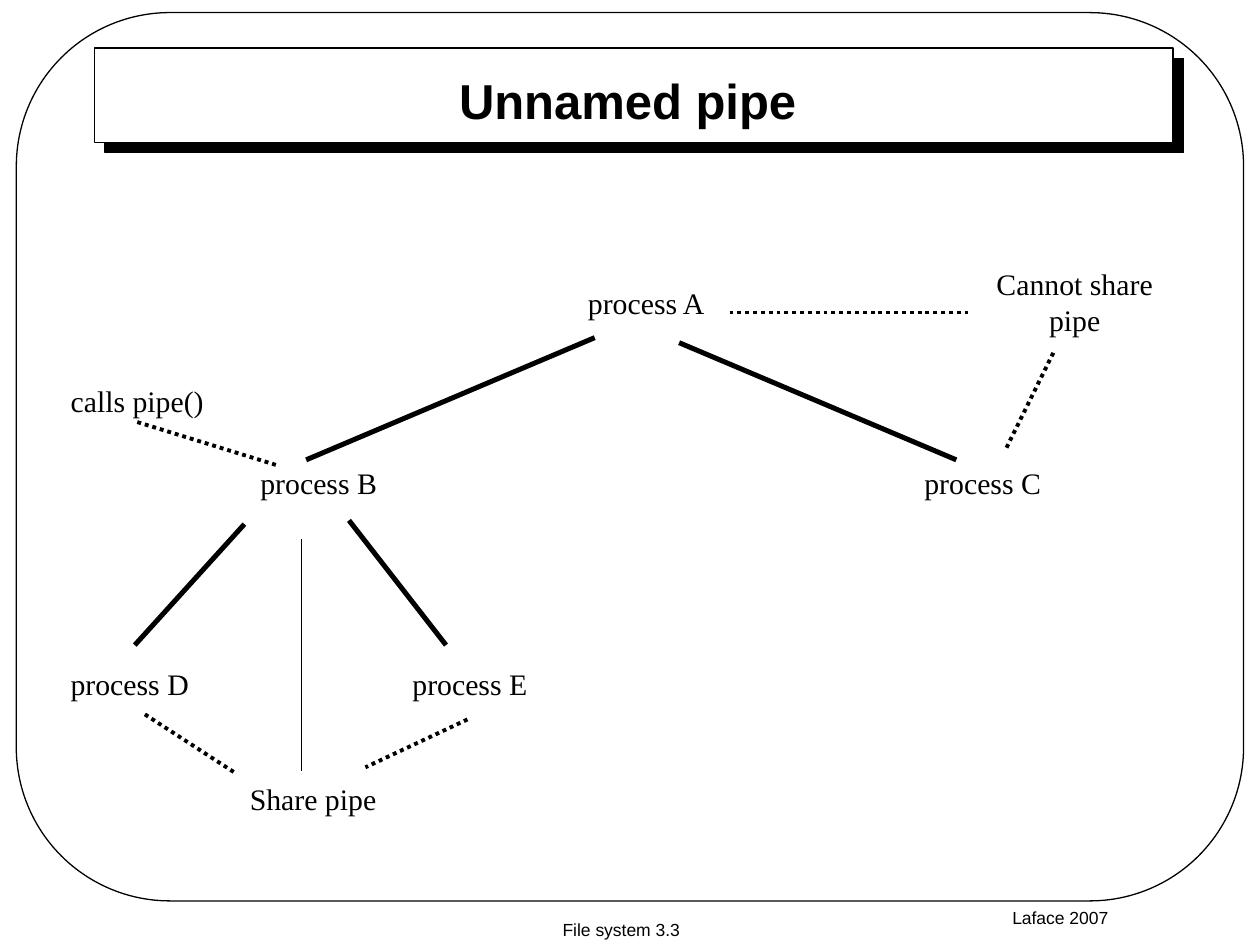
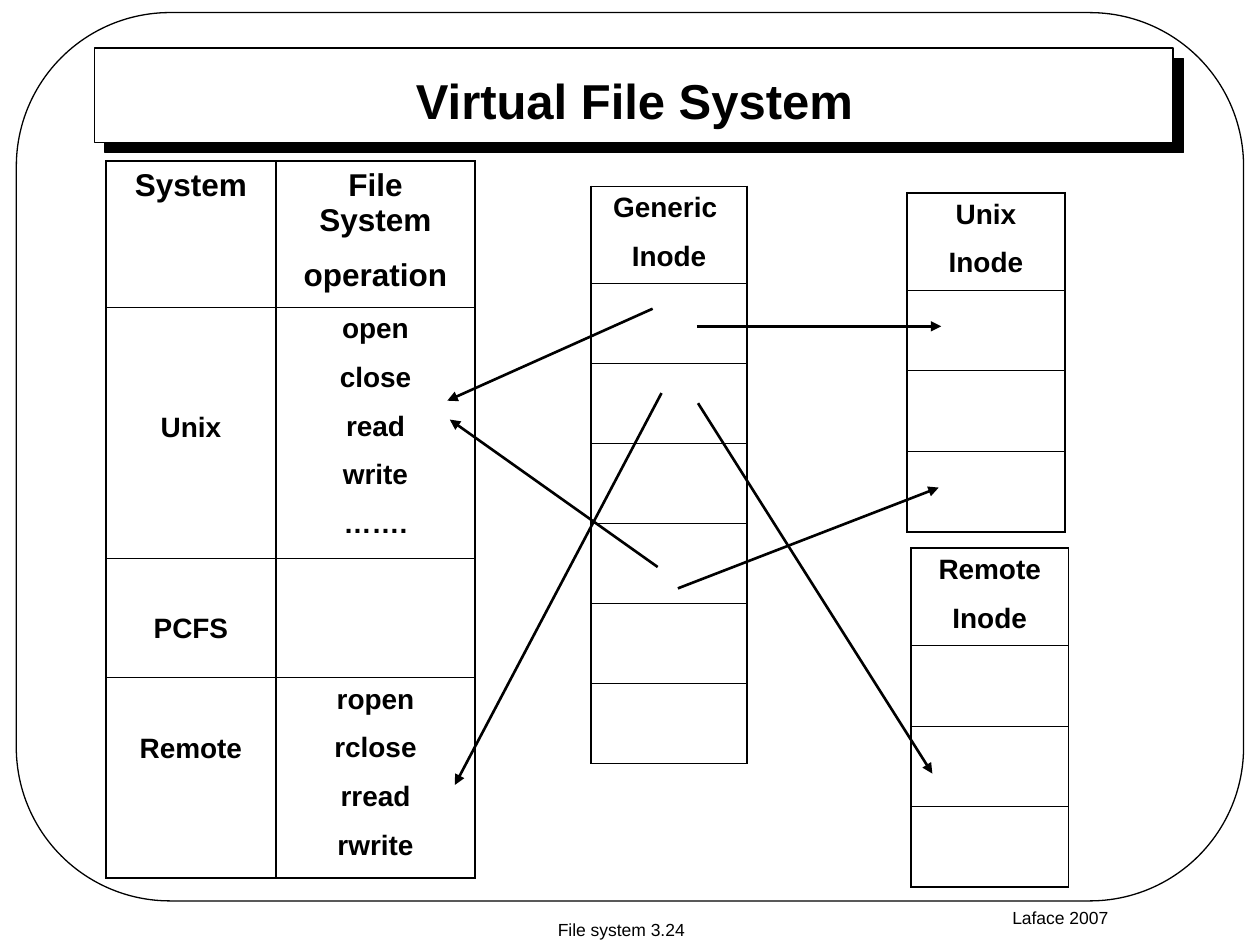
from dataclasses import dataclass

from lxml.etree import SubElement
from pptx import Presentation
from pptx.dml.color import RGBColor
from pptx.enum.dml import MSO_LINE
from pptx.enum.shapes import MSO_CONNECTOR, MSO_SHAPE
from pptx.enum.text import MSO_ANCHOR, MSO_AUTO_SIZE, PP_ALIGN
from pptx.oxml.ns import qn
from pptx.util import Inches, Pt


@dataclass(frozen=True)
class Theme:
    ink: RGBColor = RGBColor(0, 0, 0)
    paper: RGBColor = RGBColor(255, 255, 255)
    sans: str = "Arial"
    serif: str = "Times New Roman"
    title: float = 28
    heading: float = 18
    cell: float = 16
    label: float = 17
    footer: float = 10
    outline: float = 0.74
    branch: float = 2.86
    dotted: float = 2.24
    hairline: float = 0.05
    arrow: float = 1.5
    outer_rule: float = 1.08
    inner_rule: float = 0.45


THEME = Theme()
LINE_PITCH = 0.39


@dataclass(frozen=True)
class Box:
    left: float
    top: float
    width: float
    height: float

    def inner(self, left, top, width, height):
        return Box(self.left + left, self.top + top, width, height)

    def lengths(self):
        return [Inches(v) for v in (self.left, self.top, self.width, self.height)]


def write(frame, lines, size, font=THEME.sans, bold=False, space=0):
    for index, line in enumerate(lines):
        paragraph = frame.paragraphs[0] if index == 0 else frame.add_paragraph()
        paragraph.alignment = PP_ALIGN.CENTER
        paragraph.space_before = Pt(space)
        run = paragraph.add_run()
        run.text = line
        run.font.size = Pt(size)
        run.font.name = font
        run.font.bold = bold
        run.font.color.rgb = THEME.ink


def add_text(shapes, box, lines, size, font=THEME.sans, inset=(0.1, 0.05), wrap=False,
             anchor=MSO_ANCHOR.TOP):
    frame = shapes.add_textbox(*box.lengths()).text_frame
    frame.word_wrap = wrap
    frame.vertical_anchor = anchor
    frame.margin_left = frame.margin_right = Inches(inset[0])
    frame.margin_top = frame.margin_bottom = Inches(inset[1])
    write(frame, lines, size, font)


def add_panel(shapes, kind, box, filled=True, outlined=True):
    panel = shapes.add_shape(kind, *box.lengths())
    panel.shadow.inherit = False
    if filled:
        panel.fill.solid()
        panel.fill.fore_color.rgb = THEME.paper
    else:
        panel.fill.background()
    if outlined:
        panel.line.color.rgb = THEME.ink
        panel.line.width = Pt(THEME.outline)
    else:
        panel.line.fill.background()
    return panel


def add_line(shapes, box, ends, width, dash=None, arrow=False):
    x1, y1, x2, y2 = ends
    link = shapes.add_connector(
        MSO_CONNECTOR.STRAIGHT,
        Inches(box.left + x1), Inches(box.top + y1),
        Inches(box.left + x2), Inches(box.top + y2))
    link.line.color.rgb = THEME.ink
    link.line.width = Pt(width)
    if dash:
        link.line.dash_style = dash
    properties = link.element.spPr
    if arrow:
        SubElement(properties.find(qn("a:ln")), qn("a:tailEnd"), type="triangle")
    SubElement(properties, qn("a:effectLst"))


def cast_hard_shadow(panel):
    effects = panel.element.spPr.find(qn("a:effectLst"))
    shadow = SubElement(effects, qn("a:outerShdw"), dist=str(Pt(8.5)), dir="2700000",
                        algn="ctr", rotWithShape="0")
    SubElement(shadow, qn("a:srgbClr"), val=str(THEME.ink))


def add_title_band(slide, box, heading):
    cast_hard_shadow(add_panel(slide.shapes, MSO_SHAPE.RECTANGLE, box))
    title = slide.shapes.title
    title.element.getparent().append(title.element)
    title.left, title.top, title.width, title.height = box.inner(
        0.52, 0.16, 7.53, 0.5).lengths()
    frame = title.text_frame
    frame.auto_size = MSO_AUTO_SIZE.NONE
    frame.vertical_anchor = MSO_ANCHOR.MIDDLE
    write(frame, [heading], THEME.title, bold=True)


def add_footers(slide, box, number):
    add_text(slide.shapes, box.inner(2.74, 0, 3.17, 0.35), ["Laface 2007"],
             THEME.footer, wrap=True)
    add_text(slide.shapes, box.inner(0, 0.09, 1.68, 0.27), [f"File system {number}"],
             THEME.footer, anchor=MSO_ANCHOR.MIDDLE)


def start_slide(deck, heading, number):
    slide = deck.slides.add_slide(deck.slide_layouts[5])
    border = add_panel(slide.shapes, MSO_SHAPE.ROUNDED_RECTANGLE,
                       Box(0.13, 0.1, 9.74, 7.05), filled=False)
    border.adjustments[0] = 0.173
    add_title_band(slide, Box(0.75, 0.38, 8.56, 0.75), heading)
    add_footers(slide, Box(4.09, 7.15, 5.91, 0.36), number)
    return slide


def add_process_tree(slide, box):
    shapes = slide.shapes.add_group_shape().shapes
    processes = {"A": (4.16, 0.23), "B": (1.56, 1.66), "C": (6.83, 1.66),
                 "D": (0.06, 3.25), "E": (2.76, 3.25)}
    labels = [([f"process {name}"], (x, y, 1.28, 0.4), (x + 0.22, y + 0.02, 0.94, 0.28))
              for name, (x, y) in processes.items()]
    labels += [
        (["calls pipe()"], (0, 0.63, 1.52, 0.81), (0.28, 1.03, 1.06, 0.28)),
        (["Cannot share", "pipe"], (7.4, 0, 2.09, 0.85), (7.55, 0.1, 1.4, 0.57)),
        (["Share pipe"], (1.04, 3.94, 2.09, 0.85), (1.7, 4.19, 1.01, 0.28)),
    ]
    for lines, patch, caption in labels:
        add_panel(shapes, MSO_SHAPE.RECTANGLE, box.inner(*patch), outlined=False)
        add_text(shapes, box.inner(*caption), lines, THEME.label, THEME.serif, (0, 0))

    branches = [(4.44, 0.67, 2.15, 1.64), (5.11, 0.71, 7.31, 1.64),
                (1.66, 2.15, 0.79, 3.11), (2.49, 2.12, 3.26, 3.11)]
    for ends in branches:
        add_line(shapes, box, ends, THEME.branch)

    remarks = [(0.81, 1.34, 1.91, 1.68), (0.87, 3.66, 1.58, 4.12),
               (3.43, 3.7, 2.62, 4.08), (5.51, 0.47, 7.4, 0.47),
               (8.08, 0.79, 7.7, 1.56)]
    for ends in remarks:
        add_line(shapes, box, ends, THEME.dotted, MSO_LINE.ROUND_DOT)
    add_line(shapes, box, (2.11, 2.27, 2.11, 4.1), THEME.hairline, MSO_LINE.ROUND_DOT)


def rule_cell(cell, top, bottom):
    properties = cell._tc.get_or_add_tcPr()
    widths = {"lnL": THEME.outer_rule, "lnR": THEME.outer_rule, "lnT": top, "lnB": bottom}
    for side, width in widths.items():
        rule = SubElement(properties, qn(f"a:{side}"), w=str(Pt(width)))
        paint = SubElement(rule, qn("a:solidFill"))
        SubElement(paint, qn("a:srgbClr"), val=str(THEME.ink))


def add_grid(slide, box, columns, heights, rows, head_size=THEME.cell):
    grid = slide.shapes.add_table(len(heights), len(columns), *box.lengths()).table
    grid.first_row = grid.horz_banding = False
    for column, width in zip(grid.columns, columns):
        column.width = Inches(width)
    last = len(heights) - 1
    for r, height in enumerate(heights):
        grid.rows[r].height = Inches(height)
        for c in range(len(columns)):
            cell = grid.cell(r, c)
            rule_cell(cell, THEME.outer_rule if r == 0 else THEME.inner_rule,
                      THEME.outer_rule if r == last else THEME.inner_rule)
            cell.fill.background()
            if r < len(rows):
                lines, skipped = rows[r][c]
                cell.margin_top = Inches(0.05 + skipped * LINE_PITCH)
                size = head_size if r == 0 else THEME.cell
                write(cell.text_frame, lines, size, bold=True, space=size * 0.625)


def add_inode(slide, box, owner, slots):
    head = 0.77
    slot = (box.height - head) / slots
    add_grid(slide, box, [box.width], [head] + [slot] * slots, [[([owner, "Inode"], 0)]])


def add_file_systems(slide, box):
    operations = [
        [(["System"], 0), (["File System", "operation"], 0)],
        [(["Unix"], 2), (["open", "close", "read", "write", "……."], 0)],
        [(["PCFS"], 1), ([], 0)],
        [(["Remote"], 1), (["ropen", "rclose", "rread", "rwrite"], 0)],
    ]
    add_grid(slide, box.inner(0, 0, 2.93, 5.69), [1.35, 1.58],
             [1.16, 1.99, 0.95, 1.59], operations, THEME.heading)
    add_inode(slide, box.inner(3.85, 0.2, 1.24, 4.58), "Generic ", 6)
    add_inode(slide, box.inner(6.36, 0.25, 1.25, 2.69), "Unix", 3)
    add_inode(slide, box.inner(6.39, 3.07, 1.25, 2.69), "Remote", 3)

    pointers = [(4.34, 1.17, 2.71, 1.9), (4.41, 1.84, 2.77, 4.95),
                (4.38, 3.22, 2.73, 2.05), (4.54, 3.39, 6.61, 2.59),
                (4.69, 1.31, 6.63, 1.31), (4.7, 1.92, 6.56, 4.86)]
    shapes = slide.shapes.add_group_shape().shapes
    for ends in pointers:
        add_line(shapes, box, ends, THEME.arrow, arrow=True)


deck = Presentation()
deck.slide_width, deck.slide_height = Inches(10), Inches(7.5)
add_process_tree(start_slide(deck, "Unnamed pipe ", "3.3"), Box(0.28, 2.01, 9.49, 4.79))
add_file_systems(start_slide(deck, "Virtual File System", "3.24"),
                 Box(0.84, 1.28, 7.64, 5.76))
deck.save("out.pptx")
